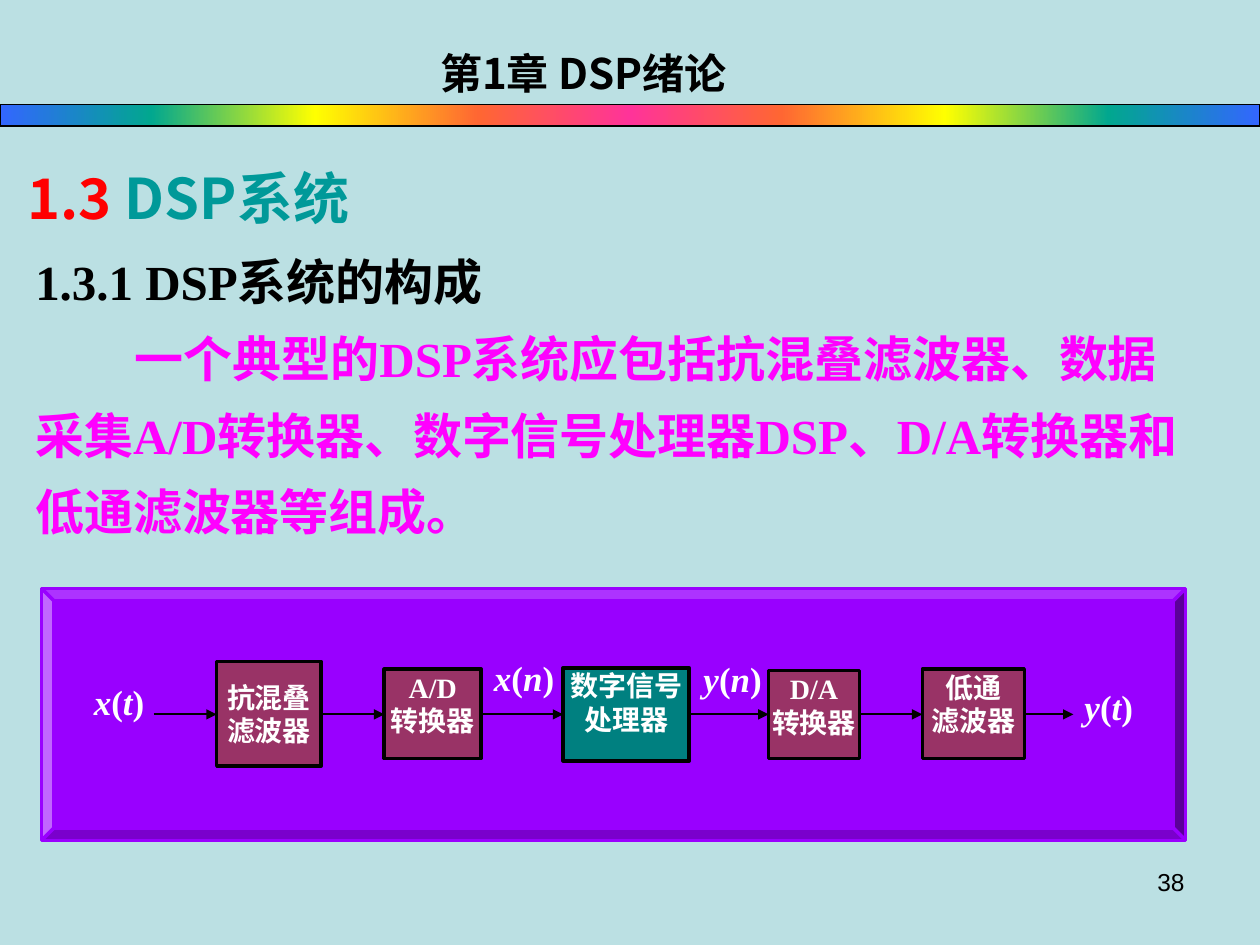
from itertools import pairwise
from lxml import etree
from pptx import Presentation
from pptx.dml.color import RGBColor
from pptx.enum.shapes import MSO_CONNECTOR, MSO_SHAPE
from pptx.enum.text import MSO_ANCHOR, PP_ALIGN
from pptx.oxml.ns import qn
from pptx.util import Inches, Pt

BLACK = RGBColor(0x00, 0x00, 0x00)
WHITE = RGBColor(0xFF, 0xFF, 0xFF)
RED = RGBColor(0xFF, 0x00, 0x00)
TEAL = RGBColor(0x00, 0x99, 0x99)
DARK_TEAL = RGBColor(0x00, 0x80, 0x80)
MAGENTA = RGBColor(0xFF, 0x00, 0xFF)
PURPLE = RGBColor(0x99, 0x00, 0xFF)
PLUM = RGBColor(0x99, 0x33, 0x66)
PALE_BLUE = RGBColor(0xBB, 0xE0, 0xE3)
BLUE = RGBColor(0x33, 0x66, 0xFF)
GREEN = RGBColor(0x01, 0xA7, 0x8F)
YELLOW = RGBColor(0xFF, 0xFF, 0x00)
ORANGE = RGBColor(0xFF, 0x66, 0x33)
PINK = RGBColor(0xFF, 0x33, 0x99)
HALF_RAINBOW = [(0, BLUE), (12, GREEN), (25, YELLOW), (38, ORANGE)]
RAINBOW = HALF_RAINBOW + [(50, PINK)] + [(100 - at, c) for at, c in reversed(HALF_RAINBOW)]
SANS, SERIF = "Noto Sans CJK SC", "Times New Roman"


def add_run(p, text, size=16, font=SANS, color=BLACK, bold=True, italic=False):
    """Append one formatted run to a paragraph."""
    r = p.add_run()
    r.text = text
    r.font.size, r.font.name = Pt(size), font
    r.font.bold, r.font.italic = bold, italic
    r.font.color.rgb = color
    ea = etree.SubElement(r.font._element, qn("a:ea"))
    ea.set("typeface", SANS)


def set_frame(s, insets, anchor=MSO_ANCHOR.TOP):
    """Set wrapping, margins and anchor, and return the text frame."""
    tf = s.text_frame
    tf.word_wrap, tf.vertical_anchor = True, anchor
    tf.margin_left, tf.margin_top, tf.margin_right, tf.margin_bottom = map(Inches, insets)
    return tf


def add_text(slide, box, runs, align=PP_ALIGN.LEFT, insets=(0.1, 0.05, 0.1, 0.05),
             spacing=None, indent=0, **fmt):
    """Add a one-paragraph text box made of (text, overrides) runs."""
    p = set_frame(slide.shapes.add_textbox(*map(Inches, box)), insets).paragraphs[0]
    p.alignment = align
    if spacing:
        p.line_spacing = spacing
    if indent:
        p._p.get_or_add_pPr().set("indent", str(Inches(indent)))
    for text, own in runs:
        add_run(p, text, **{**fmt, **own})


def add_box(slide, kind, box, fill, line, width):
    """Add a flat preset shape with its fill and outline."""
    s = slide.shapes.add_shape(kind, *map(Inches, box))
    s.shadow.inherit = False
    if fill:
        s.fill.solid()
        s.fill.fore_color.rgb = fill
    s.line.color.rgb, s.line.width = line, Pt(width)
    return s


def add_arrow(slide, x1, x2, y):
    """Add a horizontal arrow between two positions."""
    c = slide.shapes.add_connector(MSO_CONNECTOR.STRAIGHT, *map(Inches, (x1, y, x2, y)))
    c.line.color.rgb, c.line.width = BLACK, Pt(1.25)
    etree.SubElement(c.line._get_or_add_ln(), qn("a:tailEnd")).set("type", "triangle")
    etree.SubElement(c._element.spPr, qn("a:effectLst"))


def add_rainbow(slide, box):
    """Draw the rainbow bar under the chapter title."""
    s = add_box(slide, MSO_SHAPE.RECTANGLE, box, None, BLACK, 1)
    s.fill.gradient()
    s.fill.gradient_angle = 0
    stops = s._element.spPr.find(qn("a:gradFill")).find(qn("a:gsLst"))
    for stop in list(stops):
        stops.remove(stop)
    for at, color in RAINBOW:
        stop = etree.SubElement(stops, qn("a:gs"), pos=str(at * 1000))
        etree.SubElement(stop, qn("a:srgbClr"), val=str(color))


def add_header(slide, x, y, w):
    """Place the chapter title above the rainbow bar."""
    add_text(slide, (x + 2.67, y + 0.33, 3.92, 0.5), [("第1章 DSP绪论", {})],
             align=PP_ALIGN.CENTER, size=24)
    add_rainbow(slide, (x, y + 0.83, w, 0.17))


def add_body(slide, x, y):
    """Place the section headings and the paragraph."""
    add_text(slide, (x, y, 5, 0.63), [("1.3 ", {"color": RED}), ("DSP系统", {})],
             insets=(0.22, 0.05, 0.1, 0.05), size=32, color=TEAL)
    body = {"insets": (0.2, 0.05, 0.1, 0.05), "size": 28, "font": SERIF}
    add_text(slide, (x + 0.08, y + 0.67, 9.58, 0.59), [("1.3.1 DSP系统的构成", {})],
             spacing=1.05, **body)
    sentence = ("一个典型的DSP系统应包括抗混叠滤波器、数据采集A/D转换器、"
                "数字信号处理器DSP、D/A转换器和低通滤波器等组成。")
    add_text(slide, (x + 0.08, y + 1.17, 9.58, 1.92), [(sentence, {})],
             spacing=1.3, indent=0.79, color=MAGENTA, **body)


def add_block(slide, box, lines, fill, anchor):
    """Draw one block of the signal chain."""
    s = add_box(slide, MSO_SHAPE.RECTANGLE, box, fill, BLACK, 2)
    tf = set_frame(s, (0, 0.01, 0, 0.01), anchor)
    for i, line in enumerate(lines):
        p = tf.add_paragraph() if i else tf.paragraphs[0]
        p.alignment = PP_ALIGN.CENTER
        add_run(p, line, font=SERIF if "/" in lines[0] else SANS, color=WHITE)


def add_diagram(slide, x, y, w, h):
    """Draw the bevelled panel with the signal chain."""
    panel = add_box(slide, MSO_SHAPE.BEVEL, (x, y, w, h), PURPLE, PURPLE, 2)
    panel.adjustments[0] = 0.05
    top, middle = MSO_ANCHOR.TOP, MSO_ANCHOR.MIDDLE
    blocks = [
        (1.39, 0.58, 0.83, 0.83, ["抗混叠", "滤波器"], PLUM, middle),
        (2.72, 0.64, 0.77, 0.71, ["A/D", "转换器"], PLUM, top),
        (4.14, 0.63, 1, 0.74, ["数字信号", "处理器"], DARK_TEAL, top),
        (5.77, 0.65, 0.72, 0.7, ["D/A", "转换器"], PLUM, top),
        (6.99, 0.64, 0.81, 0.71, ["低通", "滤波器"], PLUM, top),
    ]
    for dx, dy, bw, bh, lines, fill, anchor in blocks:
        add_block(slide, (x + dx, y + dy, bw, bh), lines, fill, anchor)
    edges = [(0, 0.89)] + [(b[0], b[0] + b[2]) for b in blocks] + [(8.19, 0)]
    for (_, start), (end, _) in pairwise(edges):
        add_arrow(slide, x + start, x + end, y + h / 2)
    signals = [
        (0.34, 0.72, 0.55, 0.58, "x", "t", 0.01),
        (3.45, 0.53, 0.76, 0.43, "x", "n", 0.01),
        (5.15, 0.5, 0.67, 0.49, "y", "n", 0.05),
        (8.1, 0.72, 0.74, 0.53, "y", "t", 0.05),
    ]
    italic = {"italic": True}
    for dx, dy, sw, sh, name, var, pad in signals:
        runs = [(name, italic), ("(", {}), (var, italic), (")", {})]
        add_text(slide, (x + dx, y + dy, sw, sh), runs, align=PP_ALIGN.CENTER,
                 insets=(0.02, pad, 0.02, pad), size=20, font=SERIF, color=WHITE)


def main():
    """Build and save the slide."""
    prs = Presentation()
    prs.slide_width, prs.slide_height = Inches(10), Inches(7.5)
    slide = prs.slides.add_slide(prs.slide_layouts[6])
    slide.background.fill.solid()
    slide.background.fill.fore_color.rgb = PALE_BLUE
    add_header(slide, 0, 0, 10)
    add_body(slide, 0, 1.25)
    add_diagram(slide, 0.33, 4.67, 9.08, 2)
    add_text(slide, (7.17, 6.83, 2.33, 0.52), [("38", {})], align=PP_ALIGN.RIGHT,
             size=14, font="Arial", bold=False)
    prs.save("out.pptx")


main()
